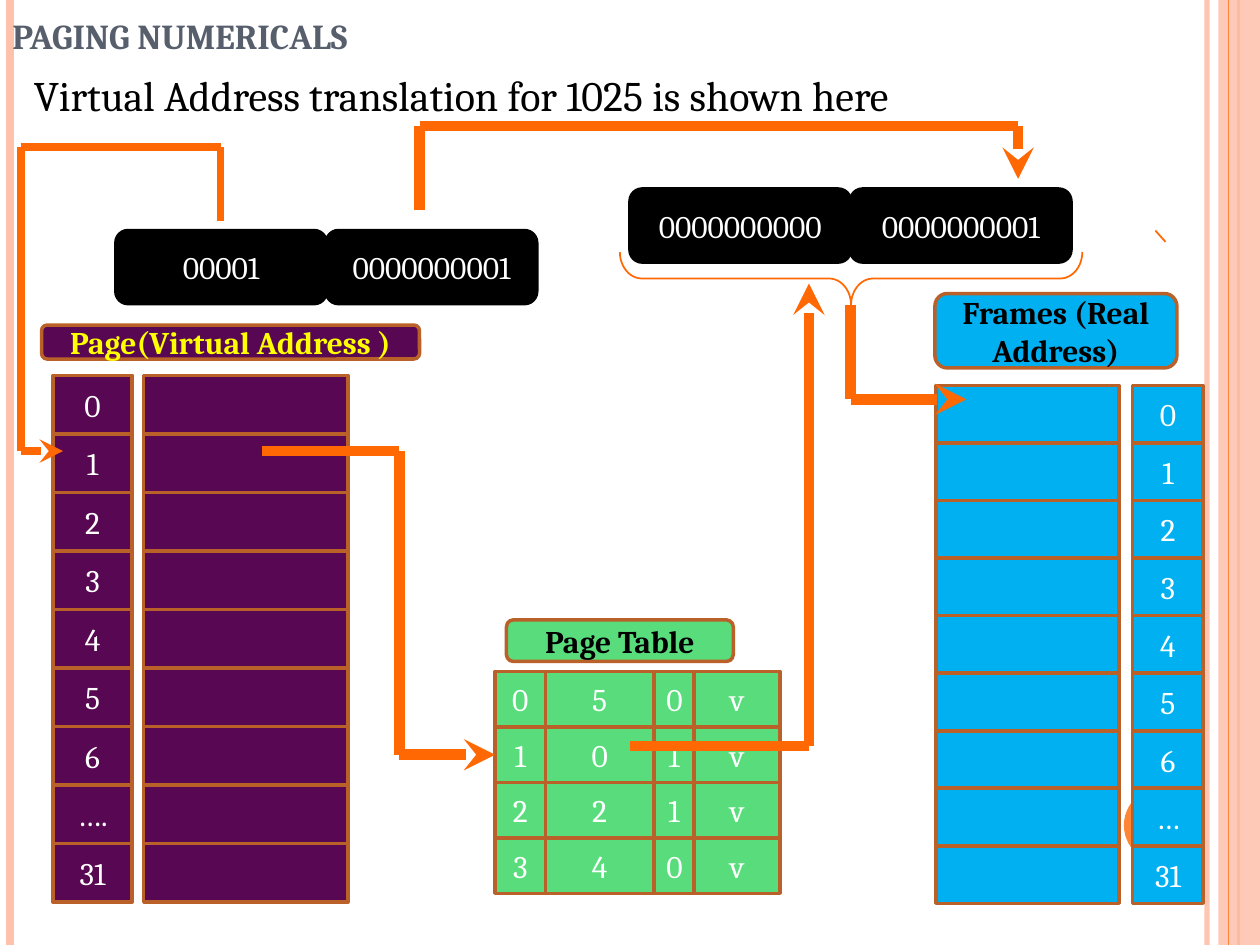
from collections import namedtuple
from dataclasses import dataclass

from lxml.etree import SubElement
from pptx import Presentation
from pptx.dml.color import RGBColor
from pptx.enum.shapes import MSO_CONNECTOR as Link, MSO_SHAPE as Preset
from pptx.enum.text import MSO_ANCHOR as Anchor, PP_ALIGN as Align
from pptx.oxml.ns import qn
from pptx.util import Inches, Pt

Box = namedtuple("Box", "left top width height")


@dataclass(frozen=True)
class Theme:
    font: str = "Cambria"
    title: str = "575F6D"
    dark: str = "000000"
    light: str = "FFFFFF"
    yellow: str = "FFFF00"
    border: str = "B96128"
    page: str = "580852"
    table: str = "59DD7C"
    frame: str = "00B0F0"
    arrow: str = "FF6803"
    accent: str = "FE8637"
    pale: str = "FEC2AC"
    title_size: int = 20
    body_size: int = 24
    label_size: int = 18
    border_width: int = 2


THEME = Theme()


def color(code):
    return RGBColor.from_string(code)


def set_alpha(properties, percent):
    tint = next(properties.iter(qn("a:srgbClr")))
    SubElement(tint, qn("a:alpha")).set("val", str(percent * 1000))


def add_words(frame, words, size, tint, bold=False, align=Align.LEFT):
    frame.word_wrap = True
    para = frame.paragraphs[0]
    para.alignment = align
    span = para.add_run()
    span.text = words
    span.font.name = THEME.font
    span.font.size = Pt(size)
    span.font.bold = bold
    span.font.color.rgb = color(tint)


def add_text(page, box, words, size, tint, bold=False, anchor=Anchor.TOP):
    frame = page.shapes.add_textbox(*map(Inches, box)).text_frame
    frame.vertical_anchor = anchor
    add_words(frame, words, size, tint, bold)


def add_block(page, box, fill, words="", preset=Preset.RECTANGLE,
              border=THEME.border, tint=THEME.light, bold=False):
    shape = page.shapes.add_shape(preset, *map(Inches, box))
    shape.shadow.inherit = False
    shape.fill.solid()
    shape.fill.fore_color.rgb = color(fill)
    if border:
        shape.line.color.rgb = color(border)
        shape.line.width = Pt(THEME.border_width)
    else:
        shape.line.fill.background()
    if words:
        shape.text_frame.vertical_anchor = Anchor.MIDDLE
        add_words(shape.text_frame, words, THEME.label_size, tint, bold, Align.CENTER)
    return shape


def add_line(page, start, end, width, tint=THEME.arrow, arrow=False):
    line = page.shapes.add_connector(Link.STRAIGHT, *map(Inches, start + end))
    line.line.color.rgb = color(tint)
    line.line.width = Pt(width)
    properties = line._element.spPr
    if arrow:
        SubElement(properties.find(qn("a:ln")), qn("a:tailEnd")).set("type", "stealth")
    SubElement(properties, qn("a:effectLst"))
    return line


def add_route(page, points, width, arrow=True):
    """Draw joined straight lines and return the last one."""
    legs = list(zip(points, points[1:]))
    for start, end in legs[:-1]:
        add_line(page, start, end, width)
    return add_line(page, *legs[-1], width, arrow=arrow)


def add_column(page, box, fill, labels):
    """Stack one equal cell per label and return the cells."""
    height = box.height / len(labels)
    return [add_block(page, Box(box.left, box.top + row * height, box.width, height), fill, label)
            for row, label in enumerate(labels)]


def add_header(page, box, fill, words, tint):
    add_block(page, box, fill, words, Preset.ROUNDED_RECTANGLE, tint=tint, bold=True)


def add_edges(page, box):
    """Vertical stripes and the disc at the slide's edges."""
    bottom = box.top + box.height

    def stripe(left, width, tint):
        x = box.left + left
        return add_line(page, (x, box.top), (x, bottom), width, tint)

    inner = stripe(9.58, 3, THEME.pale)
    set_alpha(inner._element.spPr, 93)
    stripe(0.08, 4.5, THEME.pale)
    stripe(9.83, 1.5, THEME.accent)
    band = add_block(page, Box(box.left + 9.67, box.top, 0.33, box.height), THEME.pale, border=None)
    set_alpha(band._element.spPr, 87)
    stripe(9.75, 0.75, THEME.accent)
    add_block(page, Box(box.left + 8.92, box.top + 6.25, 0.6, 0.6), THEME.accent,
              preset=Preset.OVAL, border=None)


def add_heading(page, box):
    add_text(page, Box(box.left, box.top, box.width, 0.5), "PAGING NUMERICALS",
             THEME.title_size, THEME.title, True, Anchor.BOTTOM)
    add_text(page, Box(box.left + 0.17, box.top + 0.5, box.width - 0.17, 0.6),
             "Virtual Address translation for 1025 is shown here", THEME.body_size, THEME.dark)


def add_virtual_pages(page, box):
    add_header(page, Box(box.left, box.top, box.width, 0.27), THEME.page,
               "Page(Virtual Address )", THEME.yellow)
    top, height = box.top + 0.4, box.height - 0.4
    labels = [*map(str, range(7)), "….", "31"]
    add_column(page, Box(box.left + 0.81, top, 1.62, height), THEME.page, [""] * len(labels))
    add_column(page, Box(box.left + 0.09, top, 0.63, height), THEME.page, labels)


def add_page_table(page, box):
    """Place header and rows; return the index cells."""
    add_header(page, Box(box.left + 0.09, box.top, 1.8, 0.33), THEME.table, "Page Table", THEME.dark)
    columns = [(0.4, "0123"), (0.86, "5024"), (0.32, "0110"), (0.68, "vvvv")]
    left, stacks = box.left, []
    for width, labels in columns:
        stacks.append(add_column(page, Box(left, box.top + 0.41, width, box.height - 0.41),
                                 THEME.table, labels))
        left += width
    return stacks[0]


def add_frames(page, box):
    add_header(page, Box(box.left, box.top, 1.92, 0.59), THEME.frame,
               "Frames (Real Address)", THEME.dark)
    top, height = box.top + 0.73, box.height - 0.73
    labels = [*map(str, range(7)), "…", "31"]
    add_column(page, Box(box.left + 0.01, top, 1.45, height), THEME.frame, [""] * len(labels))
    add_column(page, Box(box.left + 1.57, top, 0.56, height), THEME.frame, labels)


def add_address(page, box, parts):
    width = box.width / len(parts)
    for place, bits in enumerate(parts):
        add_block(page, Box(box.left + place * width, box.top, width, box.height), THEME.dark,
                  bits, Preset.ROUNDED_RECTANGLE, border=THEME.dark)


def add_brace(page, box):
    """Brace opening upwards: a left brace turned within the box."""
    x = box.left + (box.width - box.height) / 2
    y = box.top - (box.width - box.height) / 2
    brace = page.shapes.add_shape(Preset.LEFT_BRACE, *map(Inches, (x, y, box.height, box.width)))
    brace.rotation = 270
    brace.adjustments[0] = 0.416
    brace.shadow.inherit = False
    brace.fill.background()
    brace.line.color.rgb = color(THEME.arrow)
    brace.line.width = Pt(1)


def add_flow(page, entry):
    """Arrows that follow the address from page to frame."""
    lookup = add_route(page, [(2.08, 3.58), (3.17, 3.58), (3.17, 5.99), (3.93, 5.99)], 6)
    lookup.end_connect(entry, 1)
    add_route(page, [(3.33, 1.67), (3.33, 1), (8.08, 1), (8.08, 1.42)], 6)
    add_route(page, [(1.75, 1.75), (1.75, 1.17), (0.17, 1.17), (0.17, 3.58), (0.5, 3.58)], 4.5)
    add_route(page, [(5, 5.92), (6.42, 5.92), (6.42, 2.25)], 6)
    add_brace(page, Box(4.92, 2, 3.67, 0.42))
    add_route(page, [(6.75, 2.42), (6.75, 3.17), (7.67, 3.17)], 6)
    add_line(page, (9.25, 1.92), (9.17, 1.83), 1)


def main():
    deck = Presentation()
    deck.slide_width, deck.slide_height = Inches(10), Inches(7.5)
    page = deck.slides.add_slide(deck.slide_layouts[6])
    add_edges(page, Box(0, 0, 10, 7.5))
    add_heading(page, Box(0, 0, 9.5, 1.1))
    add_virtual_pages(page, Box(0.33, 2.58, 3, 4.58))
    entries = add_page_table(page, Box(3.93, 4.92, 2.26, 2.17))
    add_frames(page, Box(7.42, 2.33, 2.13, 4.84))
    add_address(page, Box(0.92, 1.83, 3.34, 0.58), ["00001", "0000000001"])
    add_address(page, Box(5, 1.5, 3.5, 0.58), ["0000000000", "0000000001"])
    add_flow(page, entries[1])
    deck.save("out.pptx")


if __name__ == "__main__":
    main()
